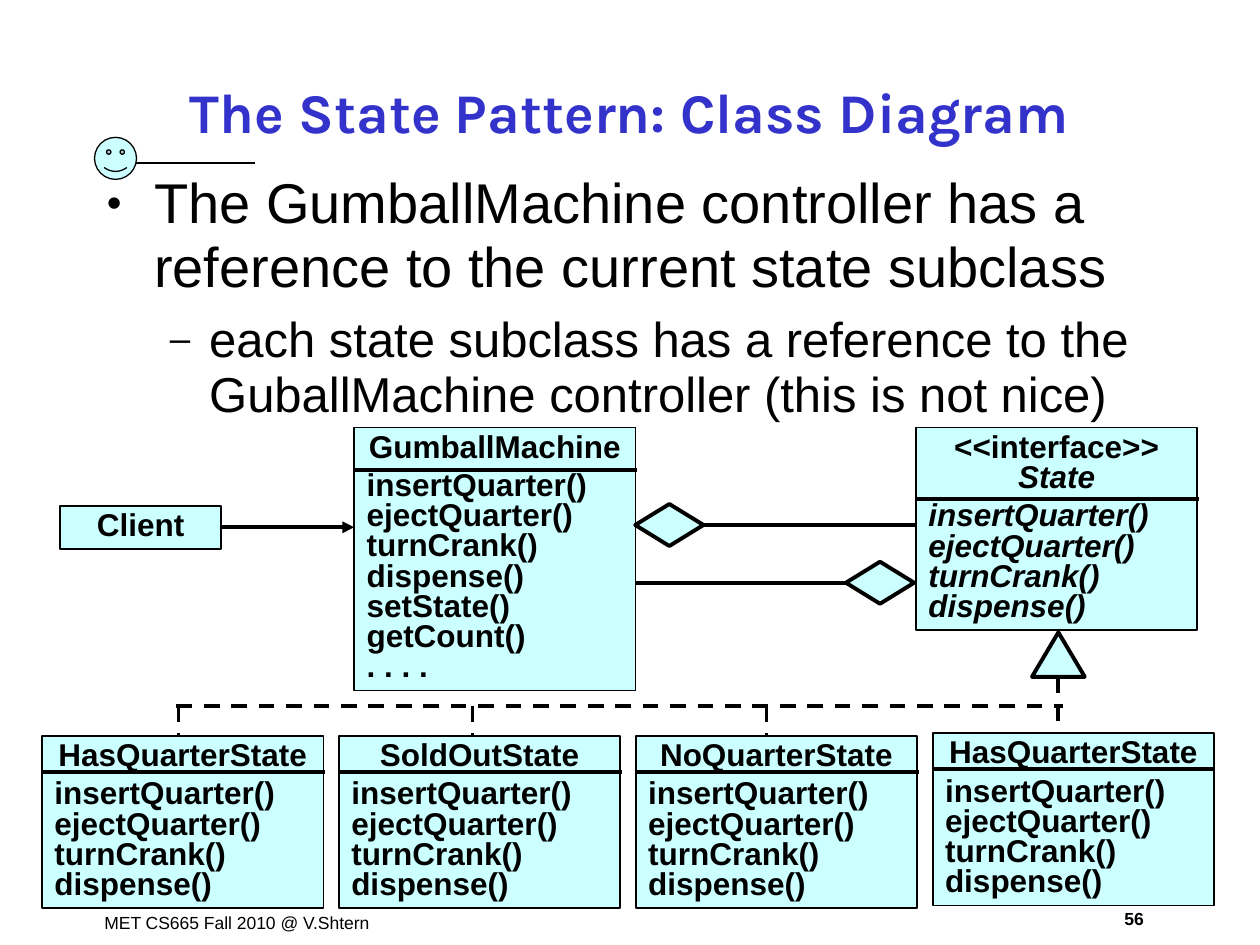
from lxml.etree import SubElement
from pptx import Presentation
from pptx.dml.color import RGBColor
from pptx.enum.dml import MSO_LINE
from pptx.enum.shapes import MSO_CONNECTOR, MSO_SHAPE
from pptx.enum.text import MSO_ANCHOR, PP_ALIGN
from pptx.oxml.ns import qn
from pptx.util import Pt

BLACK = RGBColor(0, 0, 0)
TITLE_BLUE = RGBColor(0x33, 0x33, 0xCC)
PALE_CYAN = RGBColor(0xCC, 0xFF, 0xFF)
STATE_METHODS = ["insertQuarter()", "ejectQuarter()", "turnCrank()", "dispense()"]
SUBCLASSES = ["HasQuarterState", "SoldOutState", "NoQuarterState", "HasQuarterState"]
CLASS_WIDTH = 160.8


def set_font(paragraph, size, color=BLACK, bold=False, name="Arial"):
    paragraph.font.name = name
    paragraph.font.size = Pt(size)
    paragraph.font.bold = bold
    paragraph.font.color.rgb = color


def add_text_box(slide, left, top, width, height):
    frame = slide.shapes.add_textbox(Pt(left), Pt(top), Pt(width), Pt(height)).text_frame
    frame.word_wrap = True
    return frame


def add_block(slide, preset, left, top, width, height, line_width):
    shape = slide.shapes.add_shape(preset, Pt(left), Pt(top), Pt(width), Pt(height))
    shape.shadow.inherit = False
    shape.fill.solid()
    shape.fill.fore_color.rgb = PALE_CYAN
    shape.line.color.rgb = BLACK
    shape.line.width = Pt(line_width)
    return shape


def add_line(slide, x1, y1, x2, y2, width=2.25, dashed=False, arrow=False):
    connector = slide.shapes.add_connector(
        MSO_CONNECTOR.STRAIGHT, Pt(x1), Pt(y1), Pt(x2), Pt(y2))
    connector.line.color.rgb = BLACK
    connector.line.width = Pt(width)
    if dashed:
        connector.line.dash_style = MSO_LINE.DASH
    if arrow:
        SubElement(connector.line._get_or_add_ln(), qn("a:tailEnd"), type="triangle")
    SubElement(connector._element.spPr, qn("a:effectLst"))
    return connector


def add_bullet(paragraph, mark, margin, indent):
    properties = paragraph._p.get_or_add_pPr()
    properties.set("marL", str(Pt(margin)))
    properties.set("indent", str(Pt(-indent)))
    color = SubElement(properties, qn("a:buClr"))
    SubElement(color, qn("a:srgbClr"), val=str(BLACK))
    SubElement(properties, qn("a:buSzPct"), val="75000")
    SubElement(properties, qn("a:buFont"), typeface="Arial")
    SubElement(properties, qn("a:buChar"), char=mark)


def add_title(slide, left, top, width, height):
    frame = add_text_box(slide, left, top, width, height)
    frame.vertical_anchor = MSO_ANCHOR.MIDDLE
    paragraph = frame.paragraphs[0]
    paragraph.text = "The State Pattern: Class Diagram"
    paragraph.alignment = PP_ALIGN.CENTER
    set_font(paragraph, 32, TITLE_BLUE, True, "Karla")


def add_ornament(slide, left, top, size):
    face = add_block(slide, MSO_SHAPE.SMILEY_FACE, left, top, size, size, 0.75)
    face.adjustments[0] = 0.0465
    add_line(slide, left + size, top + 14.7, left + size + 68, top + 14.7, 1)


def add_body(slide, left, top, width, height):
    frame = add_text_box(slide, left, top, width, height)
    items = [
        ("The GumballMachine controller has a reference to the current state subclass",
         "•", 27, 27, 32),
        ("each state subclass has a reference to the GuballMachine controller "
         "(this is not nice)", "–", 58.5, 22.5, 28),
    ]
    for level, (text, mark, margin, indent, size) in enumerate(items):
        paragraph = frame.add_paragraph() if level else frame.paragraphs[0]
        paragraph.text = text
        paragraph.level = level
        add_bullet(paragraph, mark, margin, indent)
        paragraph.line_spacing = 0.95
        if level:
            paragraph.space_before = Pt(7)
        set_font(paragraph, size)


def add_class(slide, left, top, width, height, headings, methods=(), divider=None,
              abstract=False):
    box = add_block(slide, MSO_SHAPE.RECTANGLE, left, top, width, height, 1)
    frame = box.text_frame
    frame.word_wrap = True
    frame.vertical_anchor = MSO_ANCHOR.MIDDLE
    for index, text in enumerate([*headings, *methods]):
        paragraph = frame.add_paragraph() if index else frame.paragraphs[0]
        paragraph.text = text
        is_heading = index < len(headings)
        paragraph.alignment = PP_ALIGN.CENTER if is_heading else PP_ALIGN.LEFT
        paragraph.line_spacing = 0.8
        if index == len(headings):
            paragraph.space_before = Pt(4.5)
        set_font(paragraph, 18, bold=True)
        if abstract and index:
            paragraph.font.italic = True
    if divider:
        add_line(slide, left, top + divider, left + width + 0.8, top + divider)
    return box


def add_subclasses(slide, left, top, pitch, height):
    for column, name in reversed(list(enumerate(SUBCLASSES))):
        raised = 1.6 if column == len(SUBCLASSES) - 1 else 0
        add_class(slide, left + column * pitch, top - raised, CLASS_WIDTH, height,
                  [name], STATE_METHODS, 20.7)


def add_inheritance(slide, left, top, right, bottom):
    triangle = add_block(slide, MSO_SHAPE.ISOSCELES_TRIANGLE, 589.7, 361.4, 30.2, 25.4, 2.25)
    add_line(slide, left, top, right, top, dashed=True)
    for column in range(3):
        x = 102 + column * 168
        add_line(slide, x, top, x, bottom, dashed=True)
    stem = triangle.left.pt + triangle.width.pt / 2
    add_line(slide, stem, 387.2, stem, bottom - 1.5, dashed=True)


def add_aggregations(slide, left, right):
    machine_end = add_block(slide, MSO_SHAPE.FLOWCHART_DECISION, left, 288, 39, 24, 2.25)
    add_line(slide, left + 39, 300, right, 300).begin_connect(machine_end, 3)
    state_end = add_block(slide, MSO_SHAPE.FLOWCHART_DECISION, right - 40, 321, 39, 24, 2.25)
    add_line(slide, left, 333, right - 40, 333).end_connect(state_end, 1)


def add_diagram(slide, left, top):
    add_subclasses(slide, left, 420.5, 169.65, 98.6)
    add_class(slide, 523.4, top, CLASS_WIDTH, 115.9, ["<<interface>>", "State"],
              STATE_METHODS, 41, True)
    add_inheritance(slide, 100.8, 403.4, 607.6, 419.8)
    add_class(slide, 202.4, top, CLASS_WIDTH, 150.3, ["GumballMachine"],
              [*STATE_METHODS, "setState()", "getCount()", ". . . ."], 24.5)
    add_aggregations(slide, 363, 523.4)
    client = add_class(slide, 34.4, 289, 91.8, 24.6, ["Client"])
    add_line(slide, 126.2, 301.3, 202.4, 301.3, arrow=True).begin_connect(client, 3)


def add_footer(slide, left, top, height):
    credit = add_text_box(slide, left, top, 174, height).paragraphs[0]
    credit.text = "MET CS665 Fall 2010 @ V.Shtern"
    set_font(credit, 10)
    number = add_text_box(slide, 628.6, top - 2, 39, height).paragraphs[0]
    number.text = "56"
    number.alignment = PP_ALIGN.CENTER
    set_font(number, 10, bold=True)


def main():
    presentation = Presentation()
    presentation.slide_width = Pt(720)
    presentation.slide_height = Pt(540)
    slide = presentation.slides.add_slide(presentation.slide_layouts[6])
    add_footer(slide, 52.6, 517.6, 19.4)
    add_ornament(slide, 54, 78.5, 24)
    add_title(slide, 54, 34.6, 612, 57.6)
    add_body(slide, 54, 95, 612, 414.7)
    add_diagram(slide, 24, 244.3)
    presentation.save("out.pptx")


if __name__ == "__main__":
    main()
